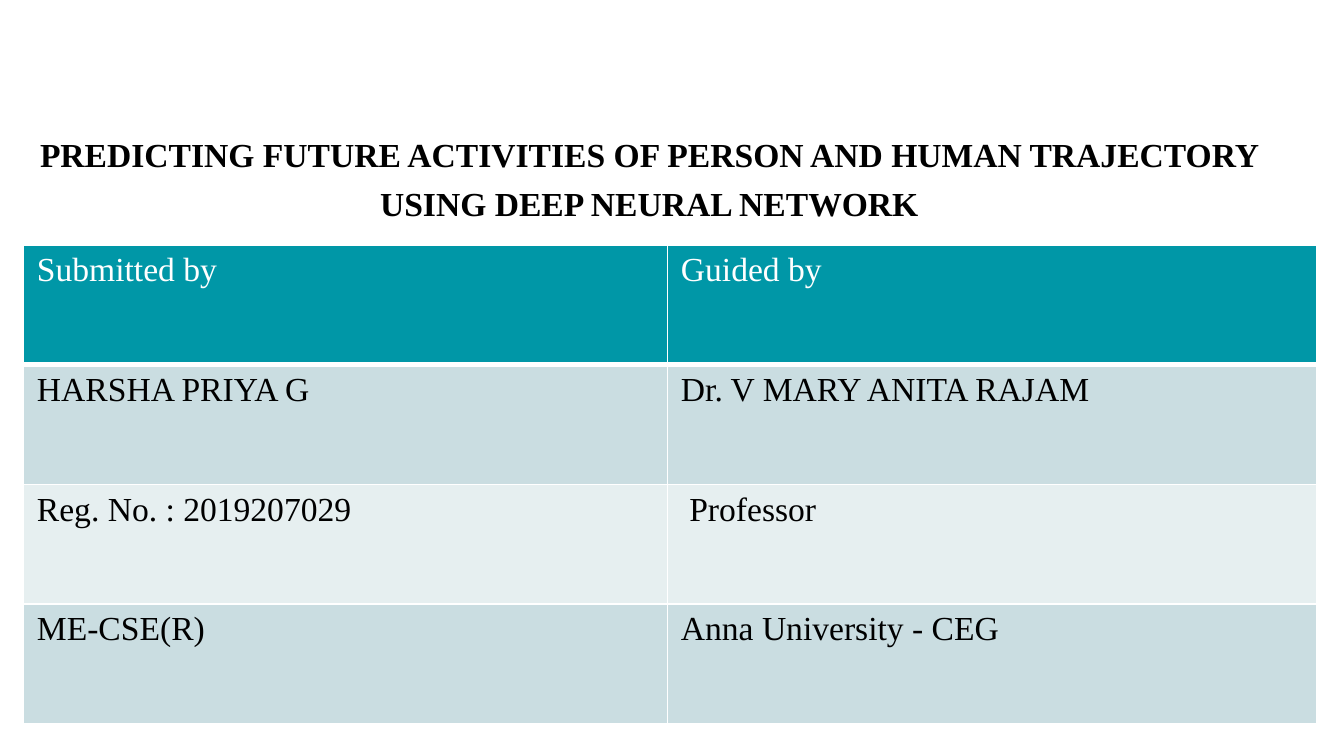
import dataclasses

import lxml.etree
import pptx
import pptx.dml.color
import pptx.enum.text
import pptx.oxml.ns
import pptx.util

Pt = pptx.util.Pt
FONT = "Times New Roman"
COLORS = {
    "white": "FFFFFF",
    "black": "000000",
    "head": "0097A7",
    "dark": "CADDE1",
    "light": "E6EFF0",
}


@dataclasses.dataclass
class Row:
    left: str
    right: str
    fill: str
    ink: str = "black"
    rule: float = 1


ROWS = [
    Row("Submitted by", "Guided by", "head", "white", 3),
    Row("HARSHA PRIYA G", "Dr. V MARY ANITA RAJAM", "dark"),
    Row("Reg. No. : 2019207029", " Professor", "light"),
    Row("ME-CSE(R)", "Anna University - CEG", "dark"),
]


def color(name: str) -> pptx.dml.color.RGBColor:
    return pptx.dml.color.RGBColor.from_string(COLORS[name])


def write(para, text: str, ink: str, bold: bool = False) -> None:
    run = para.add_run()
    run.text = text
    run.font.name = FONT
    run.font.size = Pt(18)
    run.font.bold = bold
    run.font.color.rgb = color(ink)


def border(cell, side: str, width: float) -> None:
    qn = pptx.oxml.ns.qn
    line = lxml.etree.Element(qn("a:" + side), w=str(Pt(width)))
    fill = lxml.etree.SubElement(line, qn("a:solidFill"))
    lxml.etree.SubElement(fill, qn("a:srgbClr"), val=COLORS["white"])
    props = cell._tc.get_or_add_tcPr()
    props.insert(len(props.findall("*")) - 1, line)


def draw_title(slide) -> None:
    box = slide.shapes.add_textbox(Pt(12.4), Pt(15), Pt(671), Pt(161.4))
    frame = box.text_frame
    frame.word_wrap = True
    frame.vertical_anchor = pptx.enum.text.MSO_ANCHOR.BOTTOM
    frame.margin_left = frame.margin_right = frame.margin_top = Pt(7.2)
    frame.margin_bottom = Pt(68)
    para = frame.paragraphs[0]
    para.alignment = pptx.enum.text.PP_ALIGN.CENTER
    para.line_spacing = 1.22
    title = ("PREDICTING FUTURE ACTIVITIES OF PERSON AND HUMAN TRAJECTORY "
             "USING DEEP NEURAL NETWORK")
    write(para, title, "black", True)


def draw_table(slide, rows: list[Row]) -> None:
    widths = [345, 348]
    high = 64.2
    frame = slide.shapes.add_table(
        len(rows), len(widths), Pt(12.6), Pt(131.2),
        Pt(sum(widths)), Pt(high * len(rows)))
    table = frame.table
    for col, width in zip(table.columns, widths):
        col.width = Pt(width)
    above = 1
    for i, row in enumerate(rows):
        table.rows[i].height = Pt(high)
        for j, text in enumerate([row.left, row.right]):
            cell = table.cell(i, j)
            cell.fill.solid()
            cell.fill.fore_color.rgb = color(row.fill)
            sides = {"lnL": 1, "lnR": 1, "lnT": above, "lnB": row.rule}
            for side, width in sides.items():
                border(cell, side, width)
            write(cell.text_frame.paragraphs[0], text, row.ink)
        above = row.rule


def main() -> None:
    """Build the title slide with its table of people."""
    deck = pptx.Presentation()
    deck.slide_width = Pt(720)
    deck.slide_height = Pt(405)
    slide = deck.slides.add_slide(deck.slide_layouts[6])
    draw_title(slide)
    draw_table(slide, ROWS)
    deck.save("out.pptx")


if __name__ == "__main__":
    main()
